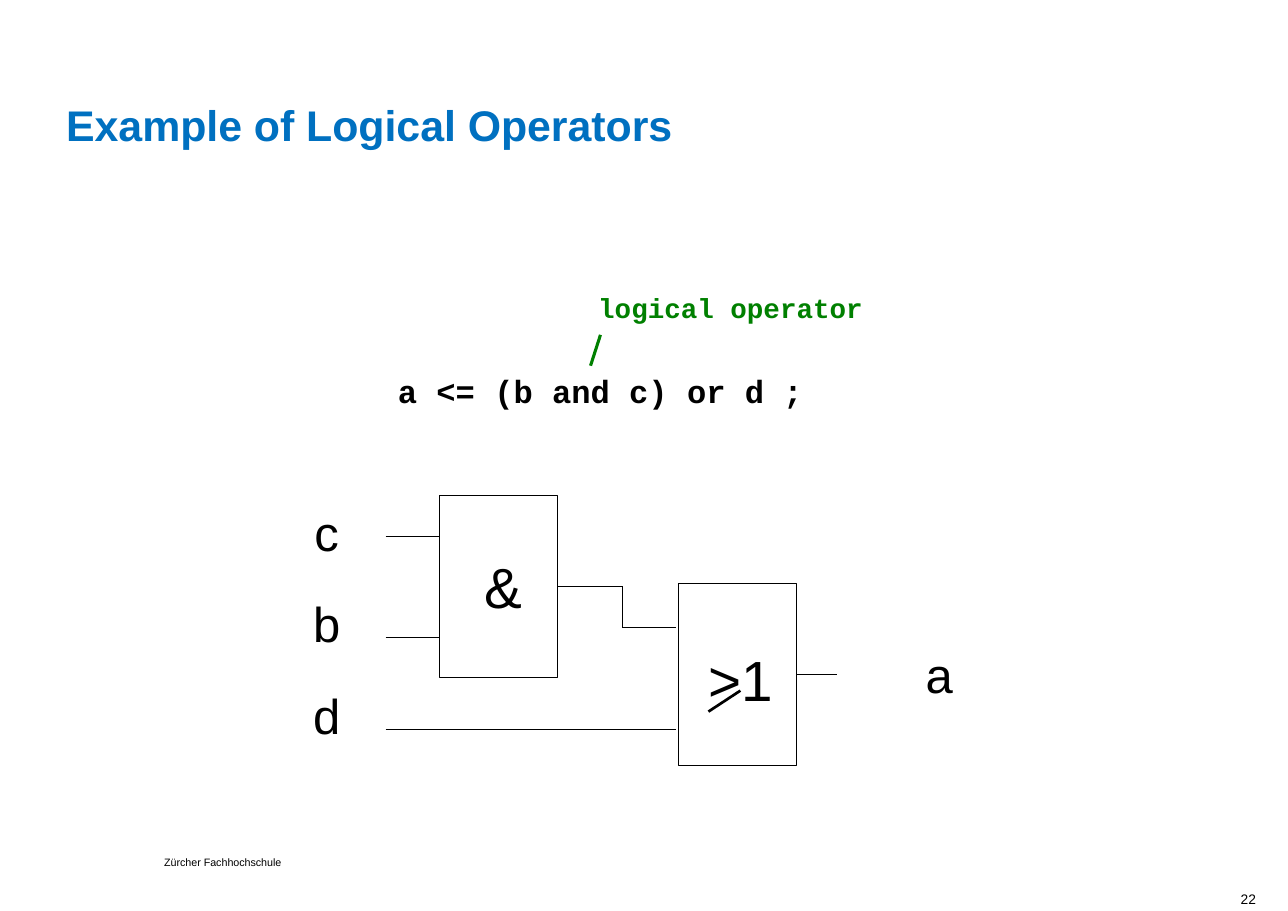
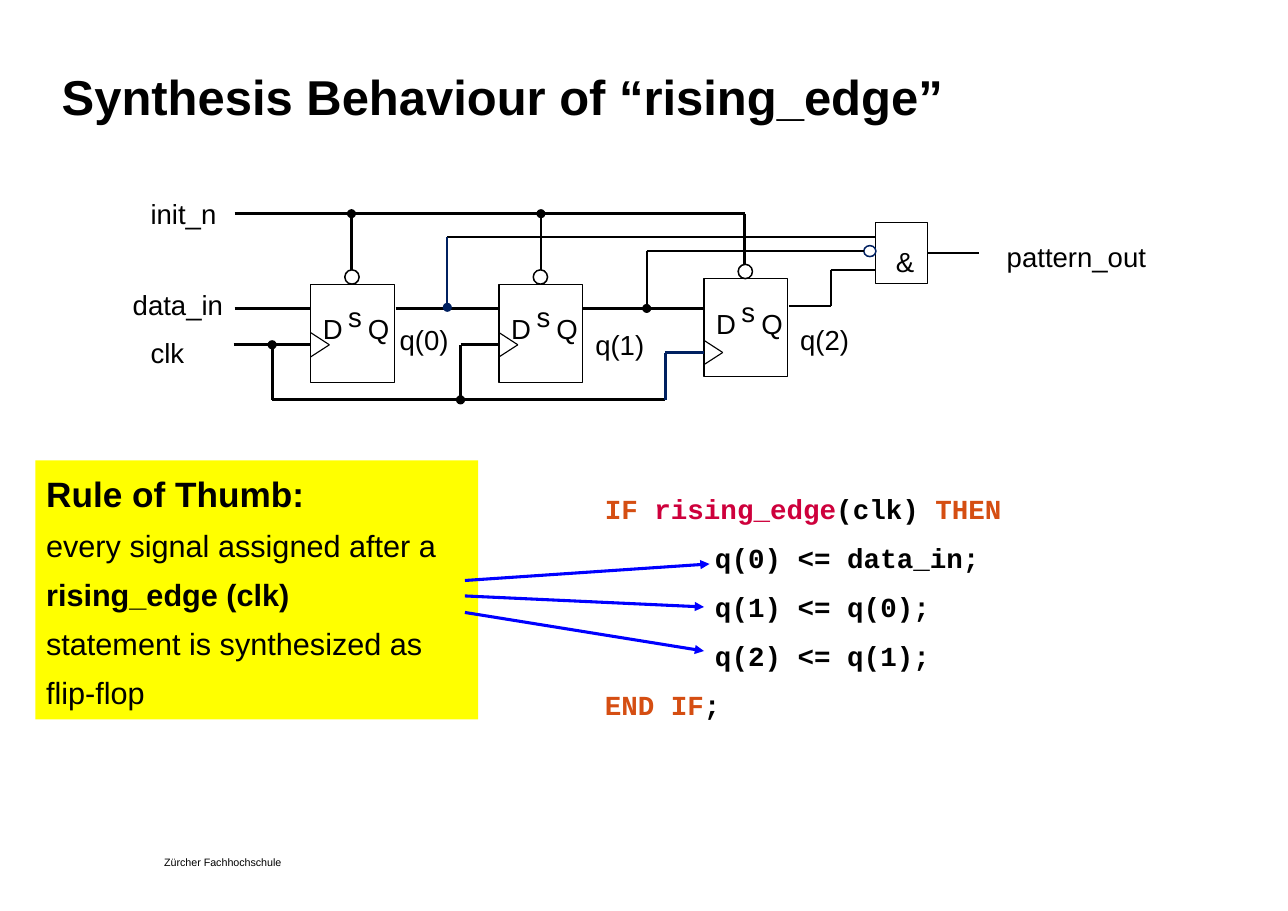
from dataclasses import dataclass
from typing import Any

from lxml import etree
from pptx import Presentation
from pptx.dml.color import RGBColor
from pptx.enum import shapes, text
from pptx.oxml.ns import qn
from pptx.util import Inches, Pt

COLORS = {
    "black": "000000", "blue": "0070C0", "green": "008000", "navy": "002060",
    "arrow": "0000FF", "yellow": "FFFF00", "keyword": "D54E12", "function": "CE003C",
}
SANS, MONO = "Arial", "Courier New"
LEFT, CENTER, RIGHT = text.PP_ALIGN.LEFT, text.PP_ALIGN.CENTER, text.PP_ALIGN.RIGHT
RECTANGLE, OVAL = shapes.MSO_SHAPE.RECTANGLE, shapes.MSO_SHAPE.OVAL


def rgb(name):
    """Return the named colour."""
    return RGBColor.from_string(COLORS[name])


def format_runs(paragraph, size, color="black", font=SANS, bold=False):
    """Give every run of a paragraph the same font."""
    for run in paragraph.runs:
        run.font.size, run.font.name, run.font.bold = Pt(size), font, bold
        run.font.color.rgb = rgb(color)


def set_frame(shape, side=0.0, top=0.0):
    """Anchor text at the top, wrapped, with the given insets."""
    frame = shape.text_frame
    frame.word_wrap = True
    frame.auto_size = text.MSO_AUTO_SIZE.NONE
    frame.vertical_anchor = text.MSO_ANCHOR.TOP
    frame.margin_left = frame.margin_right = Inches(side)
    frame.margin_top = frame.margin_bottom = Inches(top)
    return frame


def place(shape, left, top, width, height):
    """Move and size a shape, in inches."""
    shape.left, shape.top = Inches(left), Inches(top)
    shape.width, shape.height = Inches(width), Inches(height)


@dataclass
class Region:
    """Part of a slide whose items are placed from its top left corner."""

    slide: Any
    left: float
    top: float

    def label(self, words, x, y, width, height=0.54, size=18, align=CENTER,
              spacing=32, insets=(0.11, 0.06), **font):
        """Add one line of text."""
        box = self.slide.shapes.add_textbox(0, 0, 0, 0)
        place(box, self.left + x, self.top + y, width, height)
        frame = set_frame(box, *insets)
        frame.text = words
        paragraph = frame.paragraphs[0]
        paragraph.alignment = align
        if spacing:
            paragraph.line_spacing = Pt(spacing)
        format_runs(paragraph, size, **font)
        return box

    def block(self, x, y, width, height, kind=RECTANGLE, color="black", weight=0.75):
        """Add an unfilled outlined shape."""
        shape = self.slide.shapes.add_shape(kind, 0, 0, 0, 0)
        place(shape, self.left + x, self.top + y, width, height)
        shape.shadow.inherit = False
        shape.fill.background()
        shape.line.color.rgb = rgb(color)
        shape.line.width = Pt(weight)
        return shape

    def wire(self, *points, weight=0.75, color="black", head=None, tail=None, source=None):
        """Join points with straight connectors, leaving source by its right side."""
        connectors = []
        for start, end in zip(points, points[1:]):
            ends = [Inches(origin + value) for point in (start, end)
                    for origin, value in zip((self.left, self.top), point)]
            connector = self.slide.shapes.add_connector(shapes.MSO_CONNECTOR.STRAIGHT, *ends)
            connector.line.color.rgb = rgb(color)
            connector.line.width = Pt(weight)
            etree.SubElement(connector.element.spPr, qn("a:effectLst"))
            connectors.append(connector)
        if source is not None:
            connectors[0].begin_connect(source, 3)
        for connector, tag, kind in ((connectors[0], "a:headEnd", head),
                                     (connectors[-1], "a:tailEnd", tail)):
            if kind:
                etree.SubElement(connector.line._get_or_add_ln(), qn(tag), type=kind)


def add_slide(presentation, title, left, top, width, height, size, color):
    """Add a slide with a left-aligned bold title."""
    slide = presentation.slides.add_slide(presentation.slide_layouts[5])
    shape = slide.shapes.title
    place(shape, left, top, width, height)
    frame = set_frame(shape)
    frame.text = title
    paragraph = frame.paragraphs[0]
    paragraph.alignment = LEFT
    paragraph.line_spacing = Pt(32)
    format_runs(paragraph, size, color, bold=True)
    return slide


def add_layout_footer(slide):
    """Put the school name on the layout of the slide."""
    footer = Region(slide, 1.49, 7.79).label(
        "Zürcher Fachhochschule", 0, 0, 1.32, 0.1, 7, LEFT, 7, (0, 0))
    slide.slide_layout.shapes.element.append(footer.element)


def draw_expression(slide, left, top):
    """Draw the assignment and the note on its operator."""
    region = Region(slide, left, top)
    region.label("a <= (b and c) or d ;", 0, 0.78, 3.94, 0.57, 21, font=MONO, bold=True)
    region.label("logical operator", 1.83, 0, 2.64, color="green", font=MONO, bold=True)
    region.wire((1.97, 0.6), (1.88, 0.88), weight=2, color="green")


def draw_gates(slide, left, top):
    """Draw the AND gate feeding the OR gate."""
    region = Region(slide, left, top)
    and_gate = region.block(1.66, 0, 1.07, 1.65)
    or_gate = region.block(3.83, 0.8, 1.07, 1.65)
    for row, name in enumerate("cbd"):
        region.label(name, 0, 0.09 + 0.83 * row, 1.27, 0.56, 32)
    region.label("a", 5.56, 1.38, 1.27, 0.56, 32)
    region.label("&", 1.65, 0.62, 1.17, 0.57, 37)
    region.label(">1", 3.81, 1.47, 1.17, 0.57, 37)
    region.wire((4.39, 1.77), (4.1, 1.96), weight=1.75)
    for y, end in ((0.37, 1.66), (1.29, 1.66), (2.12, 3.81)):
        region.wire((1.17, y), (end, y))
    middle = 1.65 / 2
    region.wire((2.73, middle), (3.32, middle), (3.32, 1.2), (3.81, 1.2), source=and_gate)
    region.wire((4.9, 0.8 + middle), (5.27, 0.8 + middle), source=or_gate)


def draw_flip_flop(slide, left, top, clock):
    """Draw a flip-flop with an inverted set input and a clock input."""
    region = Region(slide, left, top)
    region.block(0, 0, 0.76, 0.89)
    region.block(0.31, -0.13, 0.13, 0.13, OVAL, weight=1)
    for name, x, y in (("D", 0, 0.05), ("Q", 0.41, 0.05), ("s", 0.23, -0.06)):
        region.label(name, x, y, 0.45, align=LEFT)
    region.wire((0, clock - 0.11), (0.17, clock), (0, clock + 0.11))


def draw_shift_register(slide, left, top):
    """Draw three chained flip-flops and the pattern gate."""
    for x, y, clock in ((1.94, 1, 0.55), (3.65, 1, 0.55), (5.51, 0.95, 0.67)):
        draw_flip_flop(slide, left + x, top + y, clock)
    region = Region(slide, left, top)
    gate = region.block(7.07, 0.44, 0.47, 0.55)
    region.block(6.96, 0.65, 0.11, 0.1, OVAL, "navy", 1)
    for words, x, y, width in (
            ("init_n", 0.24, 0, 1.09), ("data_in", 0, 0.83, 1.47), ("clk", 0.29, 1.27, 0.7),
            ("q(0)", 2.62, 1.15, 0.7), ("q(1)", 4.39, 1.19, 0.71), ("q(2)", 6.25, 1.15, 0.71),
            ("&", 7.07, 0.44, 0.53), ("pattern_out", 8.02, 0.39, 1.74)):
        region.label(words, x, y, width)

    region.wire((1.25, 0.36), (5.88, 0.36), (5.88, 0.82), weight=1.75)
    for x in (2.31, 4.03):
        region.wire((x, 0.36), (x, 0.87), weight=1.75, head="oval")

    for start, end in ((1.25, 1.94), (2.71, 3.65), (4.41, 5.51)):
        region.wire((start, 1.22), (end, 1.22), weight=2)

    region.wire((1.24, 1.55), (1.94, 1.55), weight=2)
    region.wire((1.59, 1.55), (1.59, 2.05), (5.16, 2.05), weight=2, head="oval")
    region.wire((3.3, 2.05), (3.3, 1.55), (3.65, 1.55), weight=2, head="oval")
    region.wire((5.16, 2.05), (5.16, 1.62), (5.51, 1.62), weight=1.5, color="navy")

    region.wire((3.18, 0.57), (7.07, 0.57), weight=1.5)
    region.wire((3.18, 1.21), (3.18, 0.57), weight=1.5, color="navy", head="oval")
    region.wire((4.99, 1.22), (4.99, 0.7), (6.96, 0.7), weight=1.5, head="oval")
    region.wire((6.28, 1.2), (6.66, 1.2), (6.66, 0.87), (7.07, 0.87), weight=1.5)
    region.wire((7.54, 0.715), (8.01, 0.715), weight=1.5, source=gate)


def draw_rule(slide, left, top):
    """Draw the yellow rule of thumb with arrows to the code."""
    region = Region(slide, left, top)
    box = region.block(0, 0, 4.02, 2.35)
    box.fill.solid()
    box.fill.fore_color.rgb = rgb("yellow")
    box.line.fill.background()
    frame = set_frame(box, 0.1, 0.05)
    lines = (("Rule of Thumb:", 23, True), ("every signal assigned after a", 20, False),
             ("rising_edge (clk)", 20, True),
             ("statement is synthesized as flip-flop", 20, False))
    frame.text = "\n".join(words for words, _, _ in lines)
    for paragraph, (_, size, bold) in zip(frame.paragraphs, lines):
        paragraph.alignment = LEFT
        paragraph.line_spacing = Pt(32)
        format_runs(paragraph, size, bold=bold)
    for start, end in (((3.9, 1.09), (6.12, 0.94)), ((3.9, 1.23), (6.07, 1.33)),
                       ((3.9, 1.38), (6.07, 1.73))):
        region.wire(start, end, weight=2, color="arrow", tail="triangle")


def draw_code(slide, left, top):
    """Write the clocked statement with coloured keywords."""
    box = slide.shapes.add_textbox(0, 0, 0, 0)
    place(box, left, top, 4.6, 2.34)
    frame = set_frame(box, 0.11, 0.06)
    lines = (
        (0, (("IF ", "keyword"), ("rising_edge", "function"), ("(clk) ", "black"),
             ("THEN", "keyword"))),
        (1, (("q(0) <= data_in;", "black"),)),
        (1, (("q(1) <= q(0);", "black"),)),
        (1, (("q(2) <= q(1);", "black"),)),
        (0, (("END IF", "keyword"), (";", "black"))),
    )
    for number, (indent, pieces) in enumerate(lines):
        paragraph = frame.add_paragraph() if number else frame.paragraphs[0]
        paragraph.line_spacing = Pt(32)
        paragraph._p.get_or_add_pPr().set("marL", str(Inches(indent)))
        for words, _ in pieces:
            paragraph.add_run().text = words
        format_runs(paragraph, 18, font=MONO, bold=True)
        for run, (_, color) in zip(paragraph.runs, pieces):
            run.font.color.rgb = rgb(color)


def build_operators_slide(presentation):
    """Build the slide on logical operators."""
    slide = add_slide(presentation, "Example of Logical Operators",
                      0.6, 0.92, 9.67, 0.87, 28, "blue")
    add_layout_footer(slide)
    draw_expression(slide, 3.48, 2.44)
    draw_gates(slide, 2.33, 4.5)
    Region(slide, 10.07, 8.09).label("22", 0, 0, 1.33, 0.16, 9, RIGHT, None, (0, 0))


def build_synthesis_slide(presentation):
    """Build the slide on the synthesis of rising_edge."""
    slide = add_slide(presentation, "Synthesis Behaviour of “rising_edge”",
                      0.56, 0.69, 8.27, 0.78, 32, "black")
    draw_code(slide, 5.38, 4.26)
    draw_rule(slide, 0.32, 4.18)
    draw_shift_register(slide, 0.88, 1.58)


def main():
    """Build and save the presentation."""
    presentation = Presentation()
    presentation.slide_width, presentation.slide_height = Inches(11.69), Inches(8.27)
    build_operators_slide(presentation)
    build_synthesis_slide(presentation)
    presentation.save("out.pptx")


if __name__ == "__main__":
    main()
